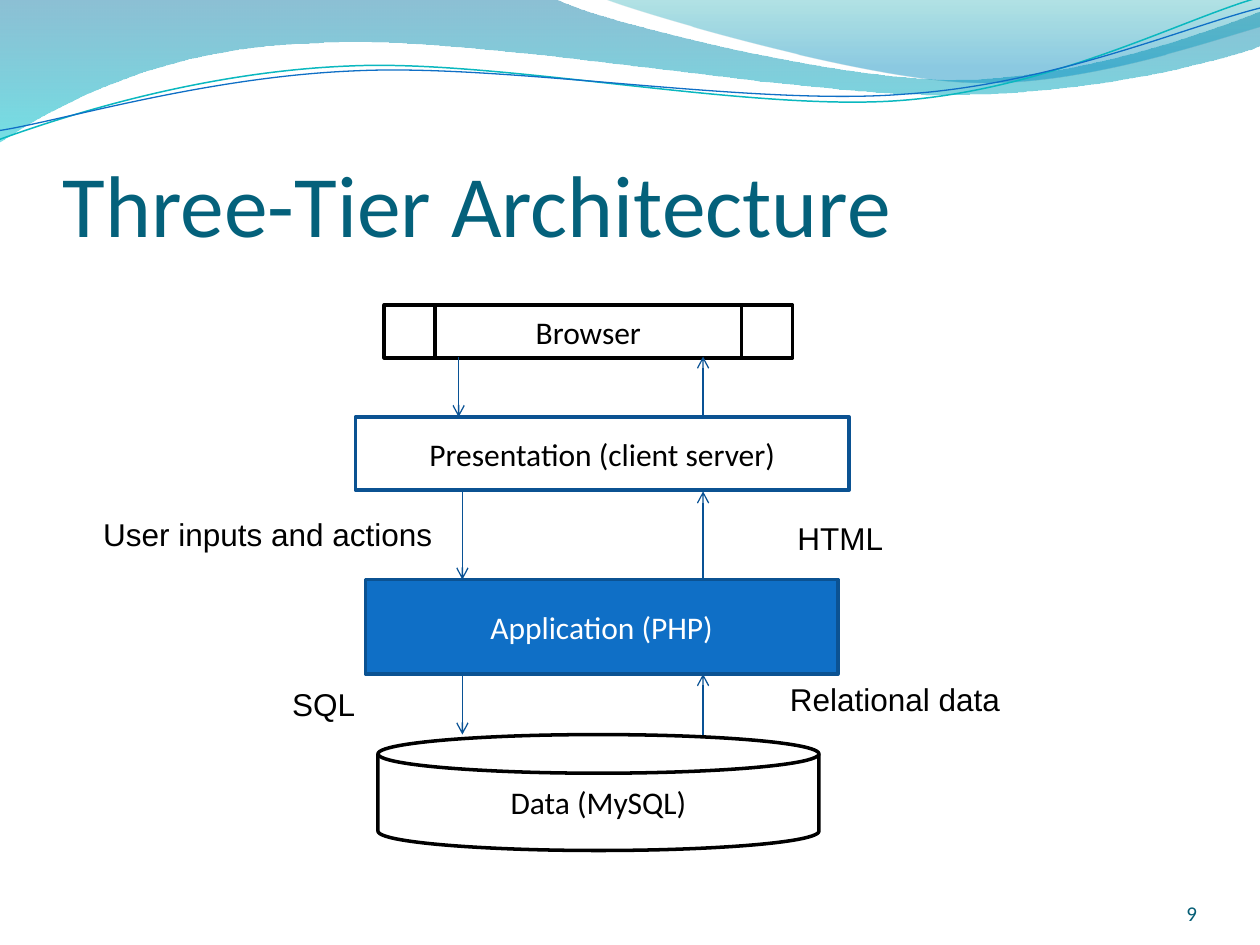
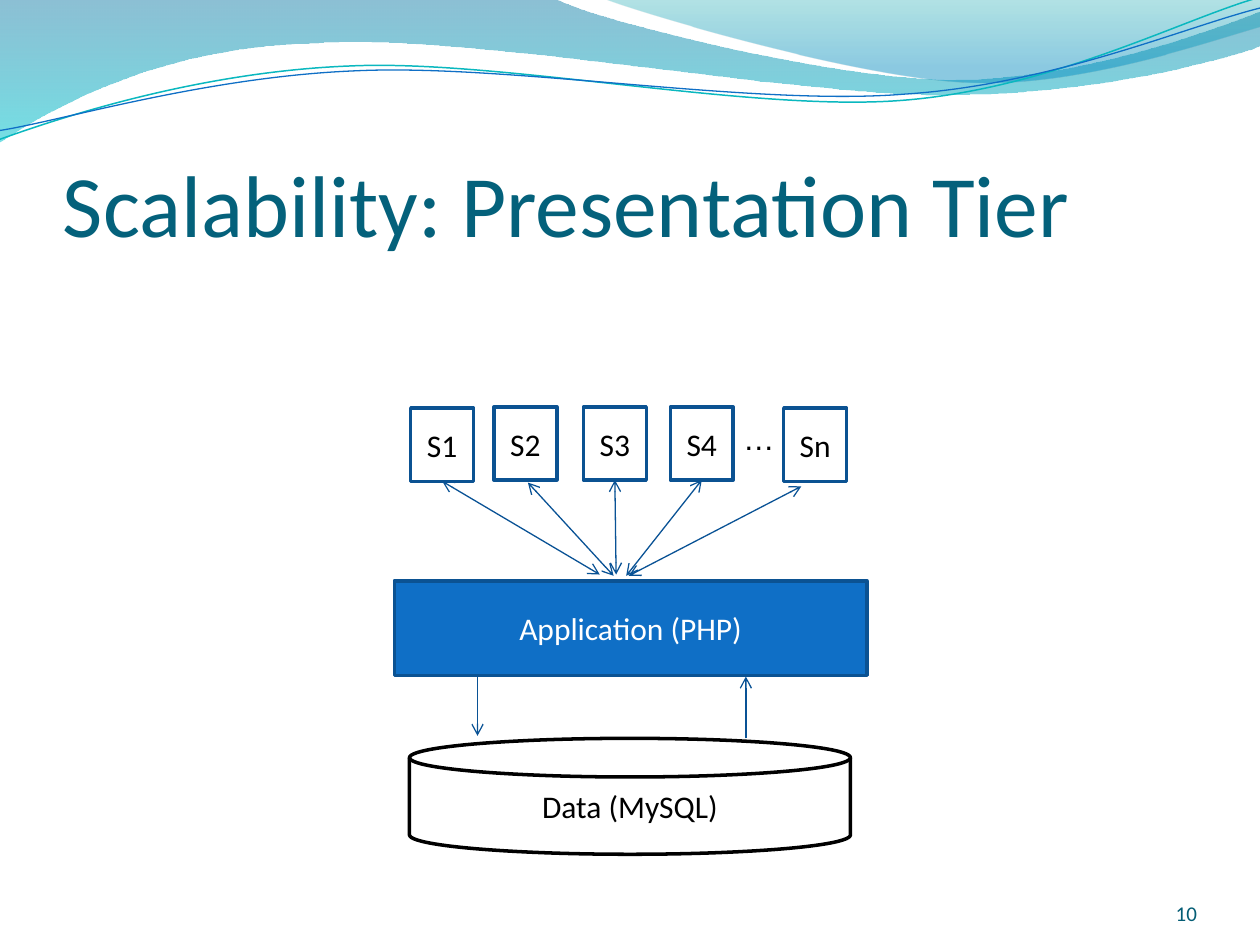
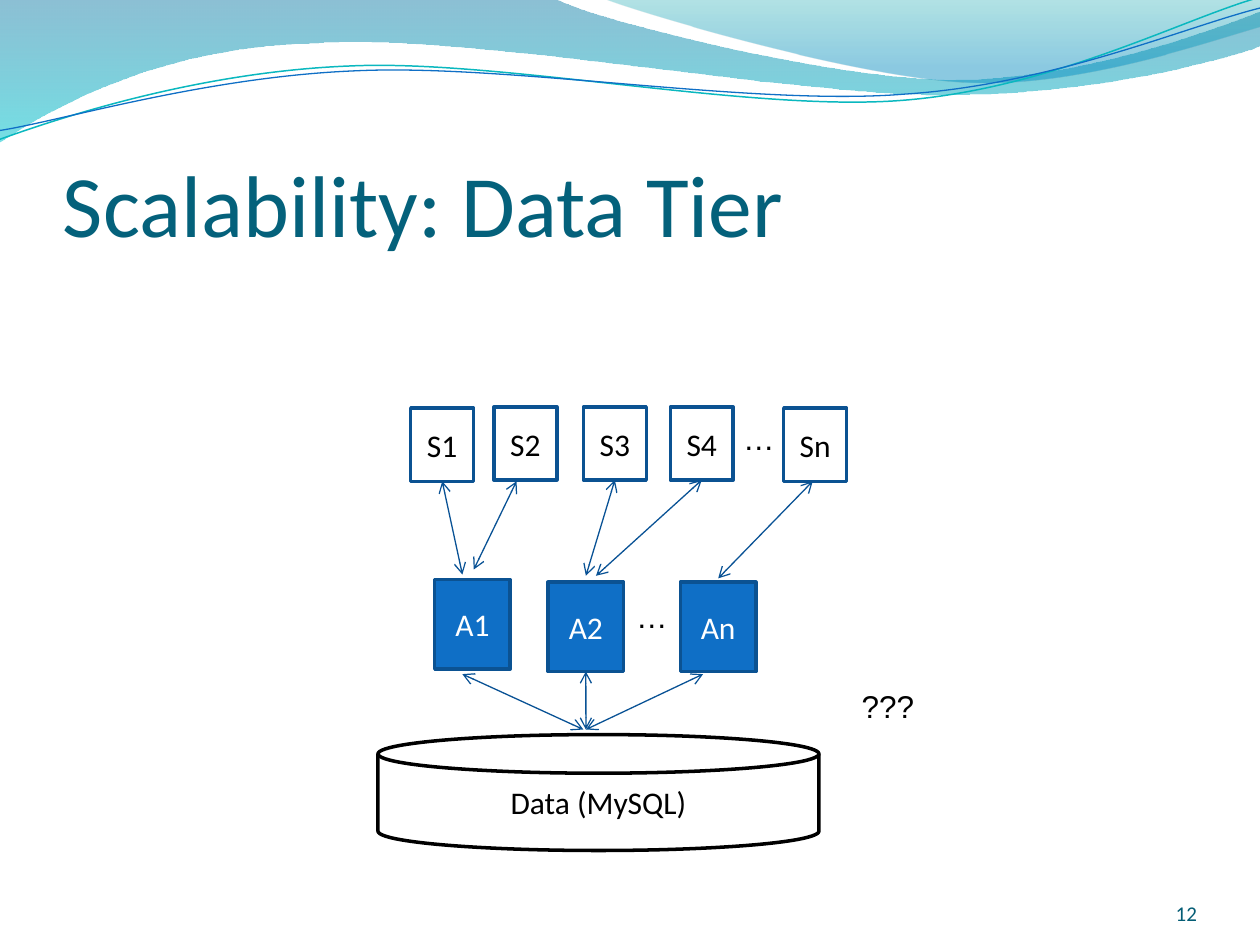
from dataclasses import dataclass
from typing import NamedTuple

from lxml.etree import SubElement
from pptx import Presentation
from pptx.dml.color import RGBColor
from pptx.enum.shapes import MSO_CONNECTOR, MSO_SHAPE
from pptx.enum.text import MSO_ANCHOR, PP_ALIGN
from pptx.oxml.ns import qn
from pptx.shapes.autoshape import Shape
from pptx.slide import Slide
from pptx.text.text import TextFrame
from pptx.util import Inches, Pt

HEADING_FONT = "Calibri"
LABEL_FONT = "Arial"
TITLE_COLOR = "04617B"
NUMBER_COLOR = "045D75"
ARROW_COLOR = "095295"
BORDER_COLOR = "0B5292"
BLUE = "0F6FC6"
TEAL = "0AB8BF"
WHITE = "FFFFFF"
BLACK = "000000"
LINE_ROTATION = 357.3
BOTTOM_SIDE = 2

Point = tuple[float, float]
Area = tuple[float, float, float, float]
Segments = tuple[tuple[float, ...], ...]


class GradientStop(NamedTuple):
    """A gradient colour with its position and opacity in percent."""

    position: int
    color: str
    opacity: int


class BoxStyle(NamedTuple):
    """The look of a diagram box."""

    preset: MSO_SHAPE
    fill: str
    border: str
    text: str


@dataclass(frozen=True)
class Wave:
    """A header outline made of straight (2 values) and cubic (6 values) segments."""

    start: Point
    segments: Segments
    stops: tuple[GradientStop, ...] = ()
    line_color: str = ""
    line_width: float = 0


@dataclass(frozen=True)
class Box:
    """A labelled diagram box."""

    text: str
    area: Area
    style: BoxStyle


@dataclass(frozen=True)
class Label:
    """A free text label."""

    text: str
    area: Area


@dataclass(frozen=True)
class Arrow:
    """An arrow to a point or to the bottom of the box with the given text."""

    start: Point
    end: Point | str
    both_ways: bool = False


@dataclass(frozen=True)
class Diagram:
    """The content of one slide."""

    title: str
    number: int
    boxes: list[Box]
    labels: list[Label]
    arrows: list[Arrow]


WHITE_TIER = BoxStyle(MSO_SHAPE.RECTANGLE, WHITE, BORDER_COLOR, BLACK)
BLUE_TIER = BoxStyle(MSO_SHAPE.RECTANGLE, BLUE, BORDER_COLOR, WHITE)
DISK = BoxStyle(MSO_SHAPE.FLOWCHART_MAGNETIC_DISK, WHITE, BLACK, BLACK)
BROWSER = BoxStyle(MSO_SHAPE.FLOWCHART_PREDEFINED_PROCESS, WHITE, BLACK, BLACK)

WAVES = [
    Wave(
        (0, 0),
        (
            (4.4, -0.01),
            (4.76, 0.17, 6.64, 0.63, 7.58, 0.63),
            (8.53, 0.63, 9.58, 0.26, 10, 0.09),
            (10.01, 0.36),
            (9.83, 0.44, 8.7, 0.76, 7.46, 0.75),
            (6.22, 0.75, 3.82, 0.28, 2.57, 0.34),
            (1.29, 0.36, 0.46, 0.83, -0.01, 1.13),
            (0, 0),
        ),
        stops=(GradientStop(0, "0074A1", 45), GradientStop(100, "00C6CF", 55)),
    ),
    Wave(
        (4.79, -0.01),
        (
            (5.09, 0.11, 6.82, 0.62, 7.69, 0.65),
            (8.56, 0.69, 9.61, 0.32, 10, 0.21),
            (10, 0),
            (4.79, -0.01),
        ),
        stops=(GradientStop(0, "00A1A9", 30), GradientStop(80, "008BBF", 45)),
    ),
    Wave(
        (-0.02, 0.87),
        (
            (0.47, 0.72, 1.58, 0.41, 2.78, 0.42),
            (3.96, 0.42, 5.91, 0.93, 7.12, 0.9),
            (8.32, 0.87, 9.4, 0.36, 10, 0.22),
        ),
        line_color=TEAL,
        line_width=0.85,
    ),
    Wave(
        (-0.02, 0.8),
        (
            (0.46, 0.75, 1.64, 0.45, 2.83, 0.46),
            (4.03, 0.46, 5.96, 0.89, 7.16, 0.85),
            (8.35, 0.83, 9.42, 0.42, 10.02, 0.3),
        ),
        line_color=BLUE,
        line_width=0.75,
    ),
]

SERVERS = [
    Box(text, (left, top, 0.5, 0.58), WHITE_TIER)
    for text, left, top in [
        ("S1", 3.26, 3.24),
        ("S2", 3.92, 3.23),
        ("S3", 4.63, 3.23),
        ("S4", 5.32, 3.23),
        ("Sn", 6.22, 3.24),
    ]
]
SERVER_DOTS = Label("…", (5.8, 3.28, 0.42, 0.4))
APPLICATIONS = [
    Box(text, (left, top, 0.6, 0.71), BLUE_TIER)
    for text, left, top in [("A1", 3.45, 4.6), ("A2", 4.35, 4.62), ("An", 5.4, 4.62)]
]


def application(left: float, top: float) -> Box:
    """Return the wide application tier."""
    return Box("Application (PHP)", (left, top, 3.75, 0.75), BLUE_TIER)


def database(left: float, top: float) -> Box:
    """Return the data tier."""
    return Box("Data (MySQL)", (left, top, 3.5, 0.92), DISK)


DIAGRAMS = [
    Diagram(
        "Three-Tier Architecture",
        9,
        [
            Box("Presentation (client server)", (2.82, 3.31, 3.92, 0.58), WHITE_TIER),
            application(2.9, 4.6),
            database(3, 5.83),
            Box("Browser", (3.05, 2.42, 3.24, 0.42), BROWSER),
        ],
        [
            Label("User inputs and actions", (0.72, 4.04, 2.92, 0.4)),
            Label("HTML", (6.23, 4.07, 0.92, 0.4)),
            Label("SQL", (2.22, 5.39, 0.85, 0.4)),
            Label("Relational data", (6.17, 5.35, 2.05, 0.4)),
        ],
        [
            arrow
            for down_x, top, bottom in [
                (3.67, 3.9, 4.6),
                (3.67, 5.35, 5.83),
                (3.64, 2.83, 3.31),
            ]
            for arrow in (
                Arrow((down_x, top), (down_x, bottom)),
                Arrow((5.58, bottom), (5.58, top)),
            )
        ],
    ),
    Diagram(
        "Scalability: Presentation Tier",
        10,
        [application(3.13, 4.61), database(3.25, 5.86), *SERVERS],
        [SERVER_DOTS],
        [
            Arrow((3.79, 5.36), (3.79, 5.84)),
            Arrow((5.92, 5.86), (5.92, 5.37)),
            Arrow((4.76, 4.56), "S1", True),
            Arrow((4.89, 4.56), "S3", True),
            Arrow((4.87, 4.57), (4.19, 3.83), True),
            Arrow((4.97, 4.57), "S4", True),
            Arrow((4.99, 4.57), (6.36, 3.86), True),
        ],
    ),
    Diagram(
        "Scalability: Data Tier",
        12,
        [database(3, 5.83), *SERVERS, *APPLICATIONS],
        [
            SERVER_DOTS,
            Label("…", (4.95, 4.69, 0.42, 0.4)),
            Label("???", (6.74, 5.4, 0.67, 0.4)),
        ],
        [
            Arrow((3.67, 5.35), (4.63, 5.79), True),
            Arrow((4.65, 5.79), (5.58, 5.35), True),
            Arrow((3.67, 4.56), "S1", True),
            Arrow((4.65, 4.57), "S3", True),
            Arrow((3.76, 4.52), (4.1, 3.82), True),
            Arrow((4.73, 4.57), "S4", True),
            Arrow((5.7, 4.59), (6.45, 3.82), True),
            Arrow((4.65, 5.79), "A2", True),
        ],
    ),
]


def rgb(color: str) -> RGBColor:
    """Turn a hex string into a colour."""
    return RGBColor.from_string(color)


def write_text(
    frame: TextFrame,
    text: str,
    size: float,
    color: str,
    font: str = HEADING_FONT,
    align: PP_ALIGN = PP_ALIGN.LEFT,
    anchor: MSO_ANCHOR = MSO_ANCHOR.TOP,
) -> None:
    """Fill a text frame with one formatted paragraph."""
    frame.word_wrap = True
    frame.vertical_anchor = anchor
    paragraph = frame.paragraphs[0]
    paragraph.text = text
    paragraph.alignment = align
    paragraph.font.size = Pt(size)
    paragraph.font.name = font
    paragraph.font.color.rgb = rgb(color)


def add_text_frame(slide: Slide, area: Area) -> TextFrame:
    """Add a text box and return its frame."""
    return slide.shapes.add_textbox(*map(Inches, area)).text_frame


def bend_segments(shape: Shape, segments: Segments) -> None:
    """Turn the straight segments that have control points into cubic curves."""
    for element, segment in zip(list(shape.element.iter(qn("a:lnTo"))), segments):
        if len(segment) == 2:
            continue
        element.tag = qn("a:cubicBezTo")
        element.remove(element[0])
        for x, y in zip(segment[::2], segment[1::2]):
            point = SubElement(element, qn("a:pt"))
            point.set("x", str(Inches(x) - shape.left))
            point.set("y", str(Inches(y) - shape.top))


def apply_gradient(shape: Shape, stops: tuple[GradientStop, ...]) -> None:
    """Fill a shape from top to bottom with translucent colours."""
    shape.fill.gradient()
    shape.fill.gradient_angle = 270
    for target, stop in zip(shape.fill.gradient_stops, stops):
        target.position = stop.position / 100
        target.color.rgb = rgb(stop.color)
    gradient = shape.element.spPr.find(qn("a:gradFill"))
    for element, stop in zip(gradient.iter(qn("a:srgbClr")), stops):
        SubElement(element, qn("a:alpha")).set("val", str(stop.opacity * 1000))


def add_wave(slide: Slide, wave: Wave) -> None:
    """Draw one header wave as an area or a tilted line."""
    builder = slide.shapes.build_freeform(*map(Inches, wave.start))
    ends = [tuple(map(Inches, segment[-2:])) for segment in wave.segments]
    builder.add_line_segments(ends, close=bool(wave.stops))
    shape = builder.convert_to_shape()
    bend_segments(shape, wave.segments)
    shape.shadow.inherit = False
    if wave.stops:
        apply_gradient(shape, wave.stops)
        shape.line.fill.background()
    else:
        shape.rotation = LINE_ROTATION
        shape.fill.background()
        shape.line.color.rgb = rgb(wave.line_color)
        shape.line.width = Pt(wave.line_width)


def add_frame(slide: Slide, title: str, number: int) -> None:
    """Draw the header waves, title and slide number."""
    for wave in WAVES:
        add_wave(slide, wave)
    title_frame = add_text_frame(slide, (0.5, 0.77, 9, 1.25))
    number_frame = add_text_frame(slide, (8.67, 6.95, 0.83, 0.4))
    for frame in (title_frame, number_frame):
        frame.margin_left = frame.margin_right = frame.margin_bottom = 0
    number_frame.margin_top = 0
    write_text(title_frame, title, 50, TITLE_COLOR, anchor=MSO_ANCHOR.BOTTOM)
    write_text(
        number_frame,
        str(number),
        12,
        NUMBER_COLOR,
        align=PP_ALIGN.RIGHT,
        anchor=MSO_ANCHOR.BOTTOM,
    )


def add_box(slide: Slide, box: Box) -> Shape:
    """Draw a labelled box."""
    style = box.style
    shape = slide.shapes.add_shape(style.preset, *map(Inches, box.area))
    shape.shadow.inherit = False
    shape.fill.solid()
    shape.fill.fore_color.rgb = rgb(style.fill)
    shape.line.color.rgb = rgb(style.border)
    shape.line.width = Pt(2)
    write_text(
        shape.text_frame,
        box.text,
        18,
        style.text,
        align=PP_ALIGN.CENTER,
        anchor=MSO_ANCHOR.MIDDLE,
    )
    return shape


def add_arrow(slide: Slide, arrow: Arrow, shapes: dict[str, Shape]) -> None:
    """Draw an arrow, joined to a box where it names one."""
    joined = isinstance(arrow.end, str)
    end = arrow.start if joined else arrow.end
    connector = slide.shapes.add_connector(
        MSO_CONNECTOR.STRAIGHT, *map(Inches, (*arrow.start, *end))
    )
    if joined:
        connector.end_connect(shapes[arrow.end], BOTTOM_SIDE)
    connector.line.color.rgb = rgb(ARROW_COLOR)
    connector.line.width = Pt(0.75)
    properties = connector.element.spPr
    line = properties.find(qn("a:ln"))
    for tag in ("a:headEnd", "a:tailEnd") if arrow.both_ways else ("a:tailEnd",):
        SubElement(line, qn(tag)).set("type", "arrow")
    SubElement(properties, qn("a:effectLst"))


def main() -> None:
    """Build and save the presentation."""
    presentation = Presentation()
    presentation.slide_width = Inches(10)
    presentation.slide_height = Inches(7.5)
    for diagram in DIAGRAMS:
        slide = presentation.slides.add_slide(presentation.slide_layouts[6])
        add_frame(slide, diagram.title, diagram.number)
        shapes = {box.text: add_box(slide, box) for box in diagram.boxes}
        for label in diagram.labels:
            write_text(add_text_frame(slide, label.area), label.text, 18, BLACK, LABEL_FONT)
        for arrow in diagram.arrows:
            add_arrow(slide, arrow, shapes)
    presentation.save("out.pptx")


if __name__ == "__main__":
    main()
